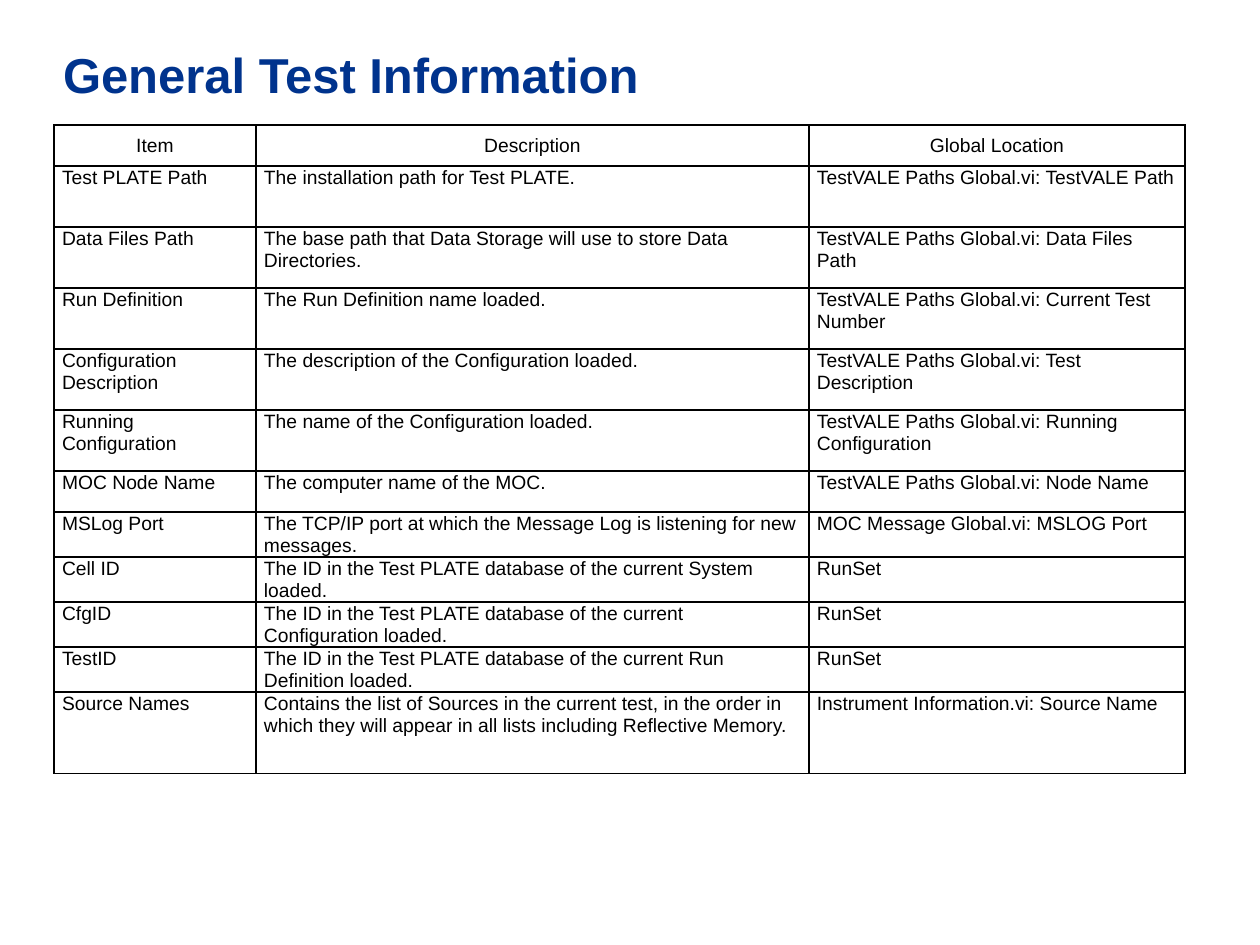
import pptx
import pptx.util
import pptx.dml.color
import pptx.enum.text
import pptx.oxml
import pptx.oxml.ns
from dataclasses import dataclass
from lxml import etree

PX = 914400 // 126


@dataclass(frozen=True)
class Theme:
    font: str = "Arial"
    title_color: str = "00338D"
    text_color: str = "000000"
    border_color: str = "000000"
    title_size: int = 28
    cell_size: int = 11
    border_width: int = 1
    line_spacing: float = 1.05


THEME = Theme()
ALIGN = pptx.enum.text.PP_ALIGN
ANCHOR = pptx.enum.text.MSO_ANCHOR

COLUMN_WIDTHS = [202, 553, 376]
ROW_HEIGHTS = [41] + [61] * 5 + [41] * 5 + [82]
PATHS = "TestVALE Paths Global.vi: "
DATABASE_ID = "The ID in the Test PLATE database of the current "
ROWS = [
    ("Item", "Description", "Global Location"),
    ("Test PLATE Path", "The installation path for Test PLATE.", PATHS + "TestVALE Path"),
    ("Data Files Path", "The base path that Data Storage will use to store Data Directories.",
     PATHS + "Data Files Path"),
    ("Run Definition", "The Run Definition name loaded.", PATHS + "Current Test Number"),
    ("Configuration Description", "The description of the Configuration loaded.",
     PATHS + "Test Description"),
    ("Running Configuration", "The name of the Configuration loaded.",
     PATHS + "Running Configuration"),
    ("MOC Node Name", "The computer name of the MOC.", PATHS + "Node Name"),
    ("MSLog Port", "The TCP/IP port at which the Message Log is listening for new messages.",
     "MOC Message Global.vi: MSLOG Port"),
    ("Cell ID", DATABASE_ID + "System loaded.", "RunSet"),
    ("CfgID", DATABASE_ID + "Configuration loaded.", "RunSet"),
    ("TestID", DATABASE_ID + "Run Definition loaded.", "RunSet"),
    ("Source Names",
     "Contains the list of Sources in the current test, in the order in which "
     "they will appear in all lists including Reflective Memory.",
     "Instrument Information.vi: Source Name"),
]


def emu(*lengths):
    return [pptx.util.Emu(n * PX) for n in lengths]


def style_run(r, size, color, bold=False):
    r.font.name = THEME.font
    r.font.size = pptx.util.Pt(size)
    r.font.bold = bold
    r.font.color.rgb = pptx.dml.color.RGBColor.from_string(color)


def set_borders(cell):
    tc_pr = cell._tc.get_or_add_tcPr()
    width = str(pptx.util.Pt(THEME.border_width))
    for i, side in enumerate(("lnL", "lnR", "lnT", "lnB")):
        ln = etree.Element(pptx.oxml.ns.qn("a:" + side), w=width)
        fill = etree.SubElement(ln, pptx.oxml.ns.qn("a:solidFill"))
        etree.SubElement(fill, pptx.oxml.ns.qn("a:srgbClr"), val=THEME.border_color)
        tc_pr.insert(i, ln)


def fill_cell(cell, text, header):
    cell.margin_left, cell.margin_right, cell.margin_top, cell.margin_bottom = emu(8, 8, 0, 0)
    cell.vertical_anchor = ANCHOR.MIDDLE if header else ANCHOR.TOP
    cell.fill.background()
    set_borders(cell)
    cell.text_frame.text = text
    p = cell.text_frame.paragraphs[0]
    p.alignment = ALIGN.CENTER if header else ALIGN.LEFT
    p.line_spacing = THEME.line_spacing
    style_run(p.runs[0], THEME.cell_size, THEME.text_color)


def add_title(s, box, text):
    sp = s.shapes.title
    sp.left, sp.top, sp.width, sp.height = emu(*box)
    tf = sp.text_frame
    tf.text = text
    tf.word_wrap = True
    tf.vertical_anchor = ANCHOR.MIDDLE
    tf.margin_left = tf.margin_right = tf.margin_top = tf.margin_bottom = 0
    p = tf.paragraphs[0]
    p.alignment = ALIGN.LEFT
    style_run(p.runs[0], THEME.title_size, THEME.title_color, bold=True)


def add_info_table(s, left, top):
    box = emu(left, top, sum(COLUMN_WIDTHS), sum(ROW_HEIGHTS))
    table = s.shapes.add_table(len(ROWS), len(COLUMN_WIDTHS), *box).table
    table.horz_banding = False
    table.first_row = False
    for column, width in zip(table.columns, emu(*COLUMN_WIDTHS)):
        column.width = width
    for row, height in zip(table.rows, emu(*ROW_HEIGHTS)):
        row.height = height
    for i, texts in enumerate(ROWS):
        for j, text in enumerate(texts):
            fill_cell(table.cell(i, j), text, header=i == 0)


def main():
    prs = pptx.Presentation()
    prs.slide_width, prs.slide_height = emu(1260, 945)
    s = prs.slides.add_slide(prs.slide_layouts[5])
    add_title(s, (63, 35, 1134, 78), "General Test Information")
    add_info_table(s, 54, 125)
    prs.save("out.pptx")


if __name__ == "__main__":
    main()
